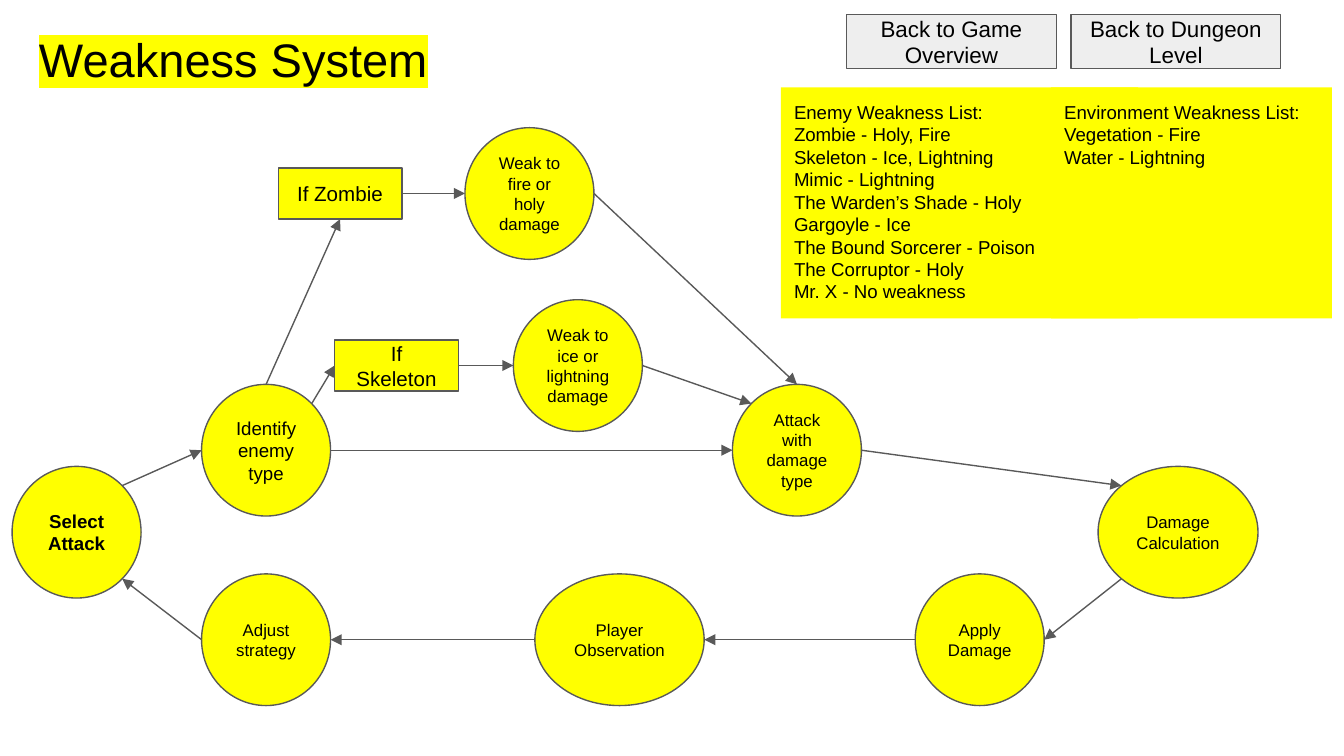
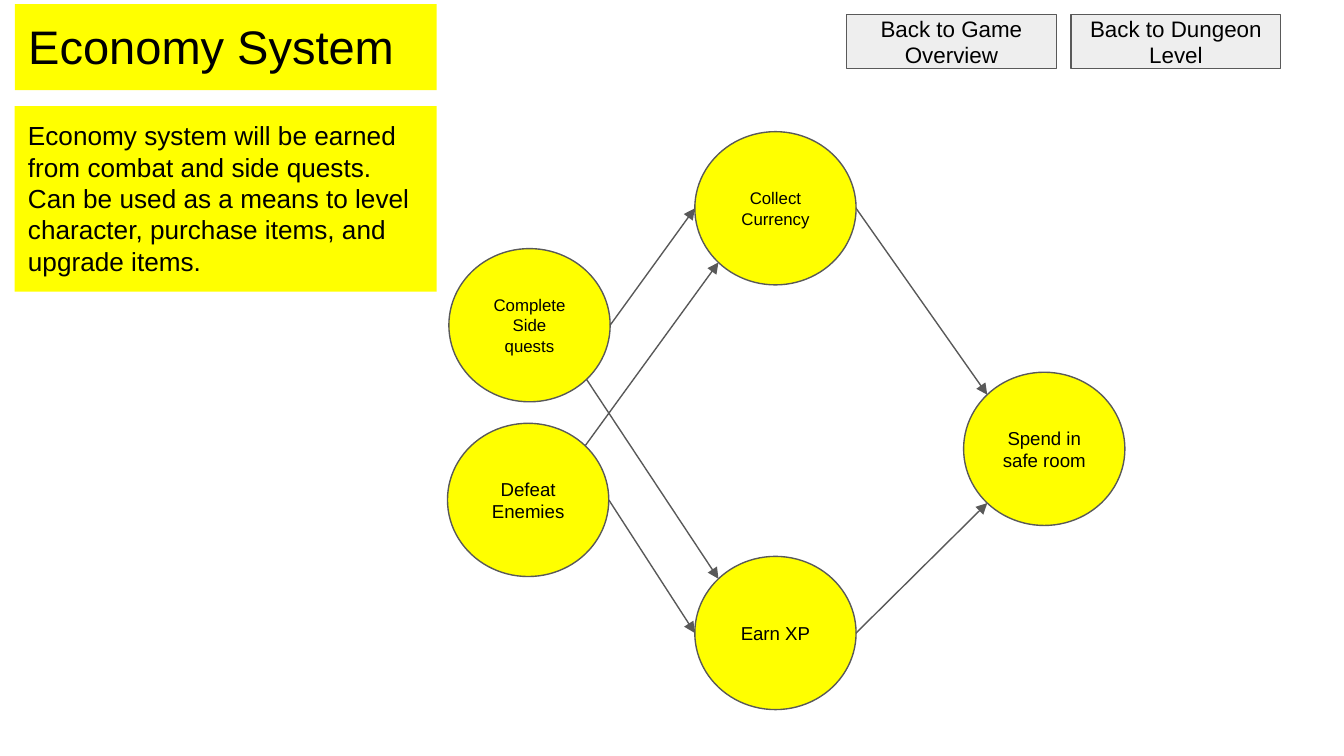
from collections import namedtuple
from math import sqrt

from lxml.etree import SubElement
from pptx import Presentation
from pptx.dml.color import RGBColor
from pptx.enum.shapes import MSO_CONNECTOR as Connector, MSO_SHAPE as Preset
from pptx.enum.text import MSO_ANCHOR as Anchor, MSO_AUTO_SIZE as AutoSize, PP_ALIGN as Align
from pptx.oxml.ns import qn
from pptx.util import Emu, Pt

# Shared style: 100 px to the inch, slides 16 by 9
PX = 9144
SLIDE_WIDTH = 1000
SLIDE_HEIGHT = SLIDE_WIDTH * 9 / 16
INSET = 10
FONT = "Arial"
TITLE_SIZE = 25.2
COLORS = {"paper": "FFFFFF", "marker": "FFFF00", "button": "EEEEEE",
          "outline": "595959", "ink": "000000"}

Box = namedtuple("Box", "left top width height")
Step = namedtuple("Step", "text left top width height size bold preset",
                  defaults=(9, False, Preset.OVAL))

# Connection sites of each preset, in the order of their index
SITES = {
    Preset.OVAL: ["top", "top left", "left", "bottom left",
                  "bottom", "bottom right", "right", "top right"],
    Preset.RECTANGLE: ["top", "left", "bottom", "right"],
}

NAV_BOX = Box(630, 11, 323, 40)

# Weakness System content
WEAKNESS_TITLE_BOX = Box(19, 13, 932, 63)
WEAKNESS_FLOW_BOX = Box(9, 95, 927, 430)
WEAKNESS_STEPS = {
    "select": Step("Select Attack", 0, 252, 96, 98, 10, True),
    "identify": Step("Identify enemy type", 141, 191, 96, 98, 10),
    "attack": Step("Attack with damage type", 536, 191, 96, 98),
    "calculate": Step("Damage Calculation", 808, 252, 119, 98),
    "apply": Step("Apply Damage", 672, 332, 96, 98),
    "observe": Step("Player Observation", 389, 332, 126, 98),
    "adjust": Step("Adjust strategy", 141, 332, 96, 98),
    "fire": Step("Weak to fire or holy damage", 337, 0, 96, 98),
    "zombie": Step("If Zombie", 198, 30, 92, 38, 11, preset=Preset.RECTANGLE),
    "skeleton": Step("If Skeleton", 240, 158, 92, 38, 11, preset=Preset.RECTANGLE),
    "ice": Step("Weak to ice or lightning damage", 373, 128, 96, 98),
}
WEAKNESS_ARROWS = [
    ("select", "top right", "identify", "left"),
    ("identify", "right", "attack", "left"),
    ("identify", "top", "zombie", "bottom"),
    ("identify", "top right", "skeleton", "left"),
    ("zombie", "right", "fire", "left"),
    ("skeleton", "right", "ice", "left"),
    ("fire", "right", "attack", "top"),
    ("ice", "right", "attack", "top left"),
    ("attack", "right", "calculate", "top left"),
    ("calculate", "bottom left", "apply", "right"),
    ("apply", "left", "observe", "right"),
    ("observe", "left", "adjust", "right"),
    ("adjust", "left", "select", "bottom right"),
]
ENEMY_BOX = Box(581, 65, 266, 172)
ENEMY_LIST = [
    "Enemy Weakness List:", "Zombie - Holy, Fire", "Skeleton - Ice, Lightning",
    "Mimic - Lightning", "The Warden’s Shade - Holy", "Gargoyle - Ice",
    "The Bound Sorcerer - Poison", "The Corruptor - Holy", "Mr. X - No weakness",
]
ENVIRONMENT_BOX = Box(782, 65, 209, 172)
ENVIRONMENT_LIST = ["Environment Weakness List:", "Vegetation - Fire", "Water - Lightning"]

# Economy System content
ECONOMY_TITLE_BOX = Box(11, 3, 314, 64)
SUMMARY_BOX = Box(11, 79, 314, 138)
SUMMARY = ("Economy system will be earned from combat and side quests. Can be used as "
           "a means to level character, purchase items, and upgrade items.")
ECONOMY_FLOW_BOX = Box(333, 98, 504, 430)
ECONOMY_STEPS = {
    "quests": Step("Complete Side quests", 1, 87, 120, 114),
    "enemies": Step("Defeat Enemies", 0, 217, 120, 114, 10),
    "currency": Step("Collect Currency", 184, 0, 120, 114),
    "xp": Step("Earn XP", 184, 316, 120, 114, 10),
    "spend": Step("Spend in safe room", 384, 179, 120, 114, 10),
}
ECONOMY_ARROWS = [
    ("quests", "right", "currency", "left"),
    ("quests", "bottom right", "xp", "top left"),
    ("enemies", "top right", "currency", "bottom left"),
    ("enemies", "right", "xp", "left"),
    ("currency", "right", "spend", "top left"),
    ("xp", "right", "spend", "bottom left"),
]


def color(name):
    return RGBColor.from_string(COLORS[name])


def px(length):
    return Emu(round(length * PX))


def paint(shape, fill):
    shape.fill.solid()
    shape.fill.fore_color.rgb = color(fill)


def outline(line):
    line.color.rgb = color("outline")
    line.width = Pt(0.75)


def write(shape, lines, size, align=Align.LEFT, anchor=Anchor.TOP, bold=False,
          fit=AutoSize.NONE):
    frame = shape.text_frame
    frame.word_wrap = True
    frame.auto_size = fit
    frame.vertical_anchor = anchor
    frame.margin_left = frame.margin_right = px(INSET)
    frame.margin_top = frame.margin_bottom = px(INSET)
    for index, text in enumerate(lines):
        paragraph = frame.add_paragraph() if index else frame.paragraphs[0]
        paragraph.alignment = align
        run = paragraph.add_run()
        run.text = text
        run.font.name = FONT
        run.font.size = Pt(size)
        run.font.bold = bold
        run.font.color.rgb = color("ink")


def add_panel(slide, preset, box, fill):
    panel = slide.shapes.add_shape(preset, *map(px, box))
    panel.shadow.inherit = False
    paint(panel, fill)
    panel.line.fill.background()
    return panel


def add_title(slide, box, text):
    title = slide.shapes.title
    title.left, title.top, title.width, title.height = map(px, box)
    write(title, [text], TITLE_SIZE)
    return title


def highlight(run):
    # The highlight follows the text fill in the run properties
    properties = run.font._element
    marker = SubElement(properties, qn("a:highlight"))
    SubElement(marker, qn("a:srgbClr"), val=COLORS["marker"])
    properties.find(qn("a:solidFill")).addnext(marker)


def add_navigation(slide, box):
    targets = ["Back to Game Overview", "Back to Dungeon Level"]
    width, pitch = 156, 167
    for index, target in enumerate(targets):
        place = Box(box.left + index * pitch, box.top, width, box.height)
        button = add_panel(slide, Preset.RECTANGLE, place, "button")
        outline(button.line)
        write(button, [target], 12, Align.CENTER, Anchor.MIDDLE)


def add_note(slide, box, lines, size):
    note = add_panel(slide, Preset.RECTANGLE, box, "marker")
    write(note, lines, size, fit=AutoSize.SHAPE_TO_FIT_TEXT)


def site_point(box, step, side):
    across = ("right" in side) - ("left" in side)
    down = ("bottom" in side) - ("top" in side)
    reach = sqrt(across ** 2 + down ** 2)
    return (px(box.left + step.left + step.width / 2 * (1 + across / reach)),
            px(box.top + step.top + step.height / 2 * (1 + down / reach)))


def add_flow(slide, box, steps, arrows):
    # Steps
    drawn = {}
    for key, step in steps.items():
        place = Box(box.left + step.left, box.top + step.top, step.width, step.height)
        drawn[key] = add_panel(slide, step.preset, place, "marker")
        outline(drawn[key].line)
        write(drawn[key], [step.text], step.size, Align.CENTER, Anchor.MIDDLE, step.bold)

    # Arrows, attached to the steps at both ends
    for source, source_side, target, target_side in arrows:
        start = site_point(box, steps[source], source_side)
        end = site_point(box, steps[target], target_side)
        arrow = slide.shapes.add_connector(Connector.STRAIGHT, *start, *end)
        outline(arrow.line)
        SubElement(arrow.line._get_or_add_ln(), qn("a:tailEnd"), type="triangle")
        SubElement(arrow._element.spPr, qn("a:effectLst"))
        joints = arrow._element.nvCxnSpPr.cNvCxnSpPr
        for tag, key, side in (("a:stCxn", source, source_side),
                               ("a:endCxn", target, target_side)):
            site = SITES[steps[key].preset].index(side)
            SubElement(joints, qn(tag), id=str(drawn[key].shape_id), idx=str(site))


def new_slide(deck):
    slide = deck.slides.add_slide(deck.slide_layouts[5])
    slide.background.fill.solid()
    slide.background.fill.fore_color.rgb = color("paper")
    return slide


def build_weakness(deck):
    slide = new_slide(deck)
    title = add_title(slide, WEAKNESS_TITLE_BOX, "Weakness System")
    highlight(title.text_frame.paragraphs[0].runs[0])
    add_flow(slide, WEAKNESS_FLOW_BOX, WEAKNESS_STEPS, WEAKNESS_ARROWS)
    add_note(slide, ENEMY_BOX, ENEMY_LIST, 10)
    add_navigation(slide, NAV_BOX)
    add_note(slide, ENVIRONMENT_BOX, ENVIRONMENT_LIST, 10)


def build_economy(deck):
    slide = new_slide(deck)
    title = add_title(slide, ECONOMY_TITLE_BOX, "Economy System")
    paint(title, "marker")
    add_navigation(slide, NAV_BOX)
    add_note(slide, SUMMARY_BOX, [SUMMARY], 14)
    add_flow(slide, ECONOMY_FLOW_BOX, ECONOMY_STEPS, ECONOMY_ARROWS)


def main():
    deck = Presentation()
    deck.slide_width, deck.slide_height = px(SLIDE_WIDTH), px(SLIDE_HEIGHT)
    build_weakness(deck)
    build_economy(deck)
    deck.save("out.pptx")


if __name__ == "__main__":
    main()
